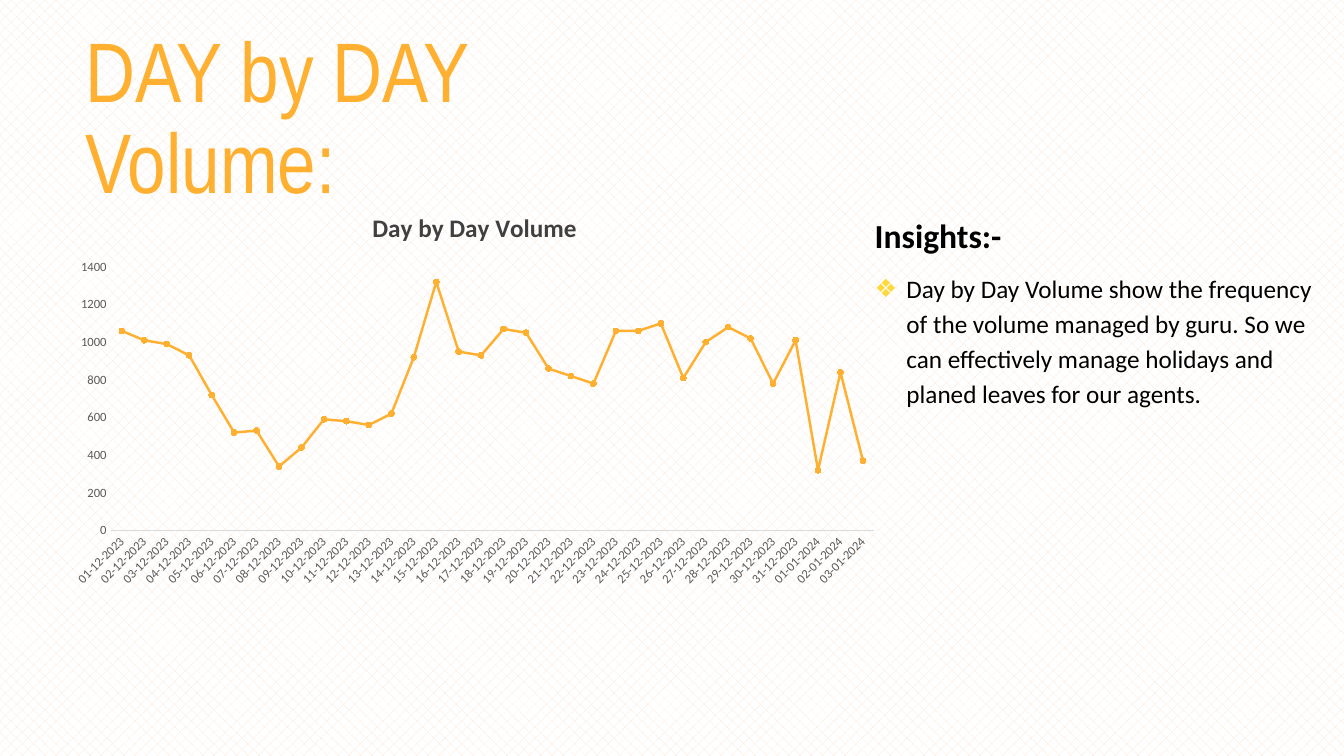
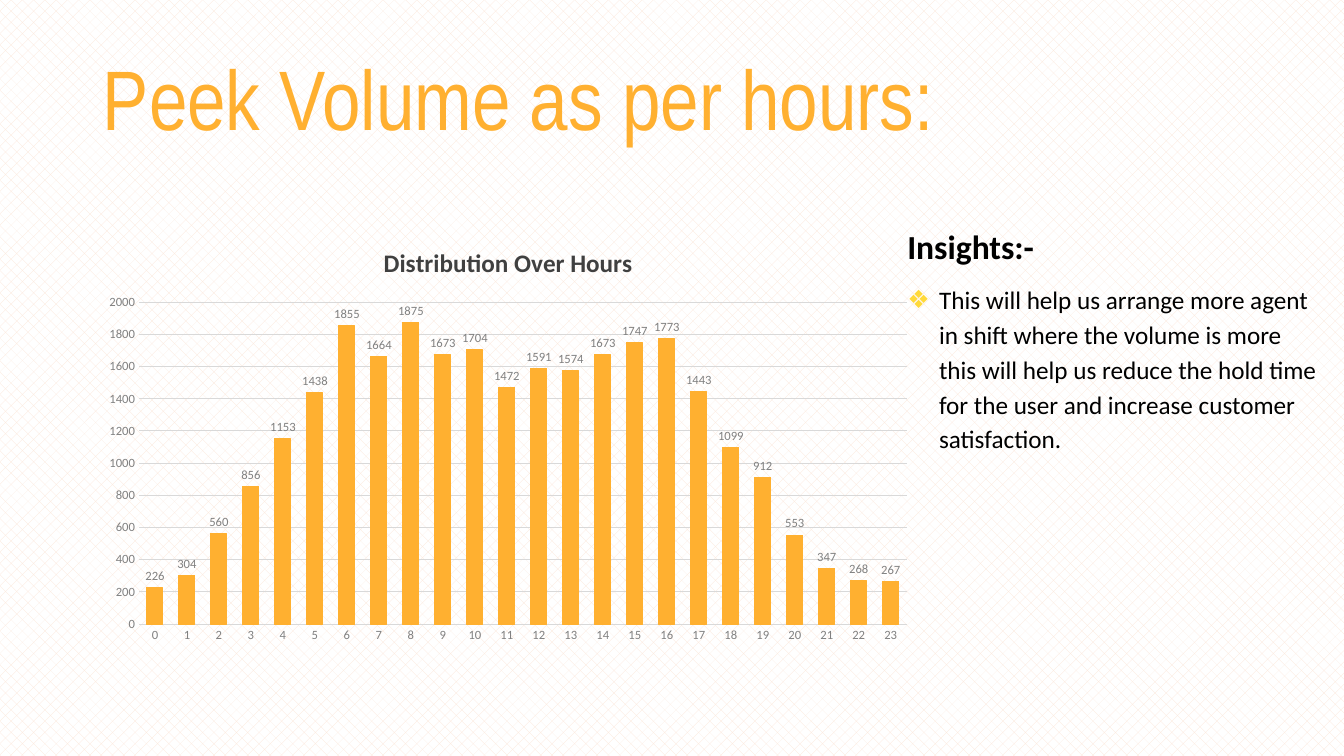
from dataclasses import dataclass
from typing import Callable, NamedTuple

import lxml.etree
import pptx
import pptx.chart.axis
import pptx.chart.chart
import pptx.chart.data
import pptx.dml.color
import pptx.enum.chart
import pptx.enum.dml
import pptx.enum.text
import pptx.oxml.ns
import pptx.slide
import pptx.util
from pptx.util import Cm, Pt

# Shared look
AMBER = "FFB030"
BULLET = "FFD93B"
BLACK = "000000"
RULE = "D9D9D9"
CHART_TITLE = "404040"
TITLE_FONT = "Arial Narrow"
BODY_FONT = "Calibri"


class Box(NamedTuple):
    """Left, top, width and height in centimetres."""
    left: float
    top: float
    width: float
    height: float

    def emu(self) -> list[int]:
        return [Cm(v) for v in self]


@dataclass
class ChartSlide:
    title: str
    title_box: Box
    chart_title: str
    chart_box: Box
    chart_type: pptx.enum.chart.XL_CHART_TYPE
    categories: list[str]
    values: list[int]
    axis_max: int
    label_color: str
    style: Callable[[pptx.chart.chart.Chart, str], None]
    insight: str
    insight_box: Box


def rgb(color: str) -> pptx.dml.color.RGBColor:
    return pptx.dml.color.RGBColor.from_string(color)


def set_font(font, name: str, size: float, color: str, bold: bool = False) -> None:
    font.name, font.size, font.bold = name, Pt(size), bold
    font.color.rgb = rgb(color)


def set_line(line, color: str, width: float) -> None:
    line.color.rgb = rgb(color)
    line.width = Pt(width)


def place(sp, box: Box) -> None:
    sp.left, sp.top, sp.width, sp.height = box.emu()


def add_title(slide: pptx.slide.Slide, text: str, box: Box) -> None:
    sp = slide.shapes.title
    place(sp, box)
    tf = sp.text_frame
    tf.text = text
    tf.word_wrap = True
    tf.auto_size = pptx.enum.text.MSO_AUTO_SIZE.NONE
    tf.vertical_anchor = pptx.enum.text.MSO_ANCHOR.MIDDLE
    tf.margin_bottom = Cm(0.64)
    p = tf.paragraphs[0]
    p.alignment = pptx.enum.text.PP_ALIGN.LEFT
    p.line_spacing = 0.9
    set_font(p.runs[0].font, TITLE_FONT, 60.3, AMBER)


def set_bullet(p, char: str | None, indent: float) -> None:
    """Give a paragraph a hanging bullet, or none."""
    qn = pptx.oxml.ns.qn
    pPr = p._p.get_or_add_pPr()
    pPr.set("marL", str(Cm(indent)))
    pPr.set("indent", str(-Cm(indent)))
    if char is None:
        lxml.etree.SubElement(pPr, qn("a:buNone"))
        return
    clr = lxml.etree.SubElement(pPr, qn("a:buClr"))
    lxml.etree.SubElement(clr, qn("a:srgbClr"), val=BULLET)
    lxml.etree.SubElement(pPr, qn("a:buChar"), char=char)


def add_insights(slide: pptx.slide.Slide, text: str, box: Box) -> None:
    sp = slide.placeholders[1]
    place(sp, box)
    tf = sp.text_frame
    tf.word_wrap = True
    tf.auto_size = pptx.enum.text.MSO_AUTO_SIZE.SHAPE_TO_FIT_TEXT
    tf.vertical_anchor = pptx.enum.text.MSO_ANCHOR.TOP
    heading, item = tf.paragraphs[0], tf.add_paragraph()
    heading.text, item.text = "Insights:-", text
    item.level = 1
    for p in (heading, item):
        p.line_spacing = 1.15
        p.space_before, p.space_after = Pt(0), Pt(10)
    set_bullet(heading, None, 0)
    set_bullet(item, "❖", 0.8)
    set_font(heading.runs[0].font, BODY_FONT, 24, BLACK, bold=True)
    set_font(item.runs[0].font, BODY_FONT, 18, BLACK)


def style_line(chart: pptx.chart.chart.Chart, label_color: str) -> None:
    series = chart.plots[0].series[0]
    series.smooth = False
    set_line(series.format.line, AMBER, 1.75)
    marker = series.marker
    marker.style = pptx.enum.chart.XL_MARKER_STYLE.CIRCLE
    marker.size = 4
    marker.format.fill.solid()
    marker.format.fill.fore_color.rgb = rgb(AMBER)
    set_line(marker.format.line, AMBER, 0.75)
    # Slanted dates
    body = chart.category_axis._element.find(".//" + pptx.oxml.ns.qn("a:bodyPr"))
    body.set("rot", "-2700000")
    body.set("vert", "horz")


def style_columns(chart: pptx.chart.chart.Chart, label_color: str) -> None:
    plot = chart.plots[0]
    plot.gap_width, plot.overlap = 100, -24
    series = plot.series[0]
    series.format.fill.solid()
    series.format.fill.fore_color.rgb = rgb(AMBER)
    set_line(series.format.line, AMBER, 0.75)
    chart.value_axis.has_major_gridlines = True
    set_line(chart.value_axis.major_gridlines.format.line, RULE, 0.75)
    plot.has_data_labels = True
    labels = plot.data_labels
    labels.show_value = True
    labels.position = pptx.enum.chart.XL_LABEL_POSITION.OUTSIDE_END
    set_font(labels.font, BODY_FONT, 9, label_color)


def add_chart(slide: pptx.slide.Slide, item: ChartSlide) -> None:
    data = pptx.chart.data.CategoryChartData()
    data.categories = item.categories
    data.add_series("Series 1", item.values)
    chart = slide.shapes.add_chart(item.chart_type, *item.chart_box.emu(), data).chart
    set_font(chart.font, BODY_FONT, 10, BLACK)
    chart.has_legend = False
    chart.plots[0].vary_by_categories = False

    chart.has_title = True
    tf = chart.chart_title.text_frame
    tf.text = item.chart_title
    set_font(tf.paragraphs[0].runs[0].font, BODY_FONT, 18, CHART_TITLE, bold=True)
    chart.chart_title.include_in_layout = False

    for axis in (chart.category_axis, chart.value_axis):
        axis.has_major_gridlines = False
        axis.major_tick_mark = pptx.enum.chart.XL_TICK_MARK.NONE
        axis.minor_tick_mark = pptx.enum.chart.XL_TICK_MARK.NONE
        set_font(axis.tick_labels.font, BODY_FONT, 9, item.label_color)
    set_line(chart.category_axis.format.line, RULE, 0.75)
    chart.value_axis.format.line.fill.background()
    chart.value_axis.minimum_scale = 0
    chart.value_axis.maximum_scale = item.axis_max
    chart.value_axis.major_unit = 200
    item.style(chart, item.label_color)


def set_background(master: pptx.slide.SlideMaster) -> None:
    fill = master.background.fill
    fill.patterned()
    fill.pattern = pptx.enum.dml.MSO_PATTERN.PERCENT_25
    fill.fore_color.rgb = rgb("FBE5D6")
    fill.back_color.rgb = rgb("FFFFFF")


DATES = ([f"{day:02}-12-2023" for day in range(1, 32)]
         + [f"{day:02}-01-2024" for day in range(1, 4)])

SLIDES = [
    ChartSlide(
        title="DAY by DAY Volume:",
        title_box=Box(1.9, 1.7, 15.34, 3.18),
        chart_title="Day by Day Volume",
        chart_box=Box(1.47, 4.85, 20.98, 10.13),
        chart_type=pptx.enum.chart.XL_CHART_TYPE.LINE_MARKERS,
        categories=DATES,
        values=[1060, 1010, 990, 930, 720, 520, 530, 340, 440, 590, 580, 560,
                620, 920, 1320, 950, 930, 1070, 1050, 860, 820, 780, 1060, 1060,
                1100, 810, 1000, 1080, 1020, 780, 1010, 320, 840, 370],
        axis_max=1400,
        label_color="595959",
        style=style_line,
        insight="Day by Day Volume show the frequency of the volume managed by "
                "guru. So we can effectively manage holidays and planed leaves "
                "for our agents.",
        insight_box=Box(21.79, 5.13, 12.06, 5.28),
    ),
    ChartSlide(
        title="Peek Volume as per hours:",
        title_box=Box(2.34, 1.02, 29.21, 3.68),
        chart_title="Distribution Over Hours",
        chart_box=Box(2.34, 5.72, 20.93, 10.69),
        chart_type=pptx.enum.chart.XL_CHART_TYPE.COLUMN_CLUSTERED,
        categories=[str(hour) for hour in range(24)],
        values=[226, 304, 560, 856, 1153, 1438, 1855, 1664, 1875, 1673, 1704,
                1472, 1591, 1574, 1673, 1747, 1773, 1443, 1099, 912, 553, 347,
                268, 267],
        axis_max=2000,
        label_color="808080",
        style=style_columns,
        insight="This will help us arrange more agent in shift where the volume "
                "is more this will help us reduce the hold time for the user and "
                "increase customer satisfaction.",
        insight_box=Box(22.61, 5.41, 10.97, 6.17),
    ),
]


def main() -> None:
    prs = pptx.Presentation()
    prs.slide_width, prs.slide_height = Cm(33.87), Cm(19.05)
    set_background(prs.slide_master)
    for item in SLIDES:
        slide = prs.slides.add_slide(prs.slide_layouts[1])
        add_title(slide, item.title, item.title_box)
        add_chart(slide, item)
        add_insights(slide, item.insight, item.insight_box)
    prs.save("out.pptx")


if __name__ == "__main__":
    main()
